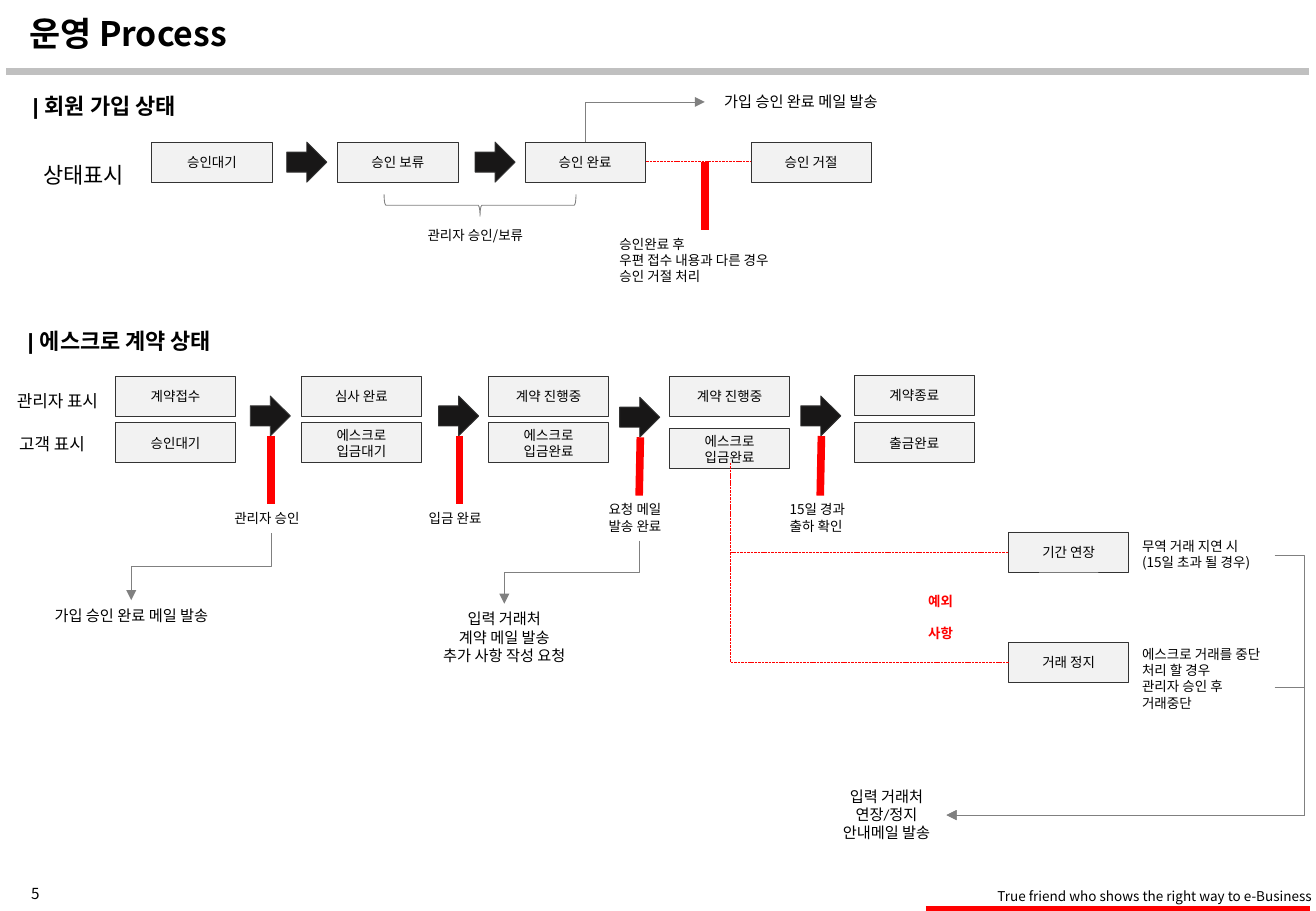
"""Build the operation process slide with its sign-up and escrow contract flows."""
from lxml.etree import SubElement
from pptx import Presentation
from pptx.dml.color import RGBColor
from pptx.enum.dml import MSO_LINE
from pptx.enum.shapes import MSO_CONNECTOR, MSO_SHAPE
from pptx.enum.text import MSO_ANCHOR, MSO_AUTO_SIZE, PP_ALIGN
from pptx.oxml.ns import qn
from pptx.util import Inches, Pt

BLACK = RGBColor(0x00, 0x00, 0x00)
RED = RGBColor(0xFF, 0x00, 0x00)
SILVER = RGBColor(0xC0, 0xC0, 0xC0)
GRAY = RGBColor(0x80, 0x80, 0x80)
BORDER = RGBColor(0x33, 0x33, 0x33)
BOX_FILL = RGBColor(0xF2, 0xF2, 0xF2)
ARROW_FILL = RGBColor(0x18, 0x17, 0x17)
KOREAN_FONT = "Noto Sans CJK KR"
BOX_FONT = "Calibri"
HEADING_FONT = "Arial"
BOX_WIDTH, BOX_HEIGHT, ARROW_SIZE = 0.99, 0.33, 0.33


class ProcessSlide:
    """Hold the slide and draw each kind of element in one style."""

    def __init__(self, presentation):
        self.slide = presentation.slides.add_slide(presentation.slide_layouts[5])
        self.shapes = self.slide.shapes

    def add_lines(self, frame, lines, size, font=KOREAN_FONT, color=BLACK, bold=False,
                  align=PP_ALIGN.LEFT, spacing=None):
        for index, line in enumerate(lines):
            paragraph = frame.paragraphs[0] if index == 0 else frame.add_paragraph()
            paragraph.alignment = align
            if spacing:
                paragraph.line_spacing = spacing
            run = paragraph.add_run()
            run.text = line
            run.font.size = Pt(size)
            run.font.bold = bold
            run.font.color.rgb = color
            run.font.name = font
            east_asian = SubElement(run.font._element, qn("a:ea"))
            east_asian.set("typeface", KOREAN_FONT)

    def title(self, text):
        shape = self.shapes.title
        shape.left, shape.top = Inches(0.14), Inches(0.06)
        shape.width, shape.height = Inches(10.56), Inches(0.46)
        frame = shape.text_frame
        frame.auto_size = MSO_AUTO_SIZE.NONE
        frame.vertical_anchor = MSO_ANCHOR.MIDDLE
        self.add_lines(frame, [text], 20, bold=True, spacing=0.9)

    def text(self, left, top, width, height, lines, size=8, wrap=False, **style):
        shape = self.shapes.add_textbox(
            Inches(left), Inches(top), Inches(width), Inches(height))
        frame = shape.text_frame
        frame.word_wrap = wrap
        frame.auto_size = MSO_AUTO_SIZE.SHAPE_TO_FIT_TEXT
        self.add_lines(frame, lines, size, **style)

    def heading(self, left, top, width, text):
        self.text(left, top, width, 0.32, [text], 13, font=HEADING_FONT, bold=True)

    def mail(self, left, top, width, height, *lines):
        self.text(left, top, width, height, lines, 9, font=BOX_FONT,
                  align=PP_ALIGN.CENTER)

    def preset(self, kind, left, top, width, height, fill=None, border=BORDER):
        shape = self.shapes.add_shape(
            kind, Inches(left), Inches(top), Inches(width), Inches(height))
        shape.shadow.inherit = False
        if fill is None:
            shape.fill.background()
        else:
            shape.fill.solid()
            shape.fill.fore_color.rgb = fill
        shape.line.color.rgb = border
        shape.line.width = Pt(0.5)
        return shape

    def box(self, left, top, *lines):
        shape = self.preset(MSO_SHAPE.RECTANGLE, left, top, BOX_WIDTH, BOX_HEIGHT, BOX_FILL)
        frame = shape.text_frame
        frame.margin_left = frame.margin_right = 0
        frame.vertical_anchor = MSO_ANCHOR.MIDDLE
        self.add_lines(frame, lines, 8, font=BOX_FONT, align=PP_ALIGN.CENTER)

    def arrow(self, left, top):
        self.preset(MSO_SHAPE.RIGHT_ARROW, left, top, ARROW_SIZE, ARROW_SIZE, ARROW_FILL)

    def brace(self, left, top, width, height):
        shape = self.preset(MSO_SHAPE.RIGHT_BRACE, left, top, width, height, border=GRAY)
        shape.rotation = 90

    def line(self, start, end, color=RED, width=4.5, kind=MSO_CONNECTOR.STRAIGHT):
        connector = self.shapes.add_connector(
            kind, *(Inches(value) for value in (*start, *end)))
        connector.line.color.rgb = color
        connector.line.width = Pt(width)
        SubElement(connector._element.spPr, qn("a:effectLst"))
        return connector

    def elbow(self, start, end, color=GRAY, corners=2, vertical=True, bend=None):
        (x1, y1), (x2, y2) = start, end
        if vertical:
            middle_x, middle_y = (x1 + x2) / 2, (y1 + y2) / 2
            half_x, half_y = (x2 - x1) / 2, (y2 - y1) / 2
            start = middle_x - half_y, middle_y + half_x
            end = middle_x + half_y, middle_y - half_x
        connector = self.line(start, end, color, 0.5, MSO_CONNECTOR.ELBOW)
        properties = connector._element.spPr
        geometry = properties.find(qn("a:prstGeom"))
        geometry.set("prst", f"bentConnector{corners + 1}")
        if vertical:
            properties.find(qn("a:xfrm")).set("rot", "5400000")
        if bend is not None:
            guide = SubElement(geometry.find(qn("a:avLst")), qn("a:gd"))
            guide.set("name", "adj1")
            guide.set("fmla", f"val {round(bend * 100000)}")
        if color == RED:
            connector.line.dash_style = MSO_LINE.SQUARE_DOT
        else:
            tail = SubElement(properties.find(qn("a:ln")), qn("a:tailEnd"))
            tail.set("type", "triangle")


def draw_frame(page):
    page.line((0.05, 0.59), (10.77, 0.59), SILVER)
    page.line((7.62, 7.48), (10.78, 7.48), RED, 3)
    page.text(8.11, 7.26, 2.88, 0.24, ["True friend who shows the right way to e-Business"])
    page.text(0, 7.23, 0.58, 0.25, ["5"], 9, wrap=True, align=PP_ALIGN.CENTER)
    page.title("운영 Process")


def draw_signup(page):
    page.heading(0.17, 0.71, 1.55, "| 회원 가입 상태")
    page.text(0.26, 1.17, 0.93, 0.39, ["상태표시"], 13, spacing=1.5)
    for left, label in ((1.25, "승인대기"), (2.78, "승인 보류"),
                        (4.32, "승인 완료"), (6.18, "승인 거절")):
        page.box(left, 1.17, label)
    for left in (2.36, 3.91):
        page.arrow(left, 1.17)
    page.brace(3.86, 0.9, 0.18, 1.58)
    page.text(3.42, 1.82, 1.07, 0.24, ["관리자 승인/보류"])
    page.mail(5.8, 0.71, 1.58, 0.25, "가입 승인 완료 메일 발송")
    page.elbow((4.82, 1.17), (5.8, 0.84), corners=1)
    page.elbow((5.32, 1.33), (6.18, 1.33), RED, vertical=False)
    page.text(5, 1.89, 1.6, 0.5, ["승인완료 후", "우편 접수 내용과 다른 경우", "승인 거절 처리"])
    page.line((5.8, 1.33), (5.8, 1.89))


def draw_contract(page):
    page.heading(0.13, 2.65, 1.9, "| 에스크로 계약 상태")
    page.text(0.04, 3.08, 0.95, 0.32, ["관리자 표시"], 10, spacing=1.5)
    page.text(0.06, 3.44, 0.81, 0.32, ["고객 표시"], 10, spacing=1.5)
    stages = (
        (0.95, 3.1, "계약접수", 3.48, ["승인대기"]),
        (2.48, 3.1, "심사 완료", 3.48, ["에스크로", "입금대기"]),
        (4.02, 3.1, "계약 진행중", 3.48, ["에스크로", "입금완료"]),
        (5.51, 3.1, "계약 진행중", 3.53, ["에스크로", "입금완료"]),
        (7.03, 3.09, "계약종료", 3.48, ["출금완료"]),
    )
    for left, manager_top, manager, customer_top, customer in stages:
        page.box(left, manager_top, manager)
        page.box(left, customer_top, *customer)
    steps = (
        (2.06, 3.26, 2.23, 2.23, 1.83, 4.15, 0.8, ["관리자 승인"]),
        (3.61, 3.26, 3.78, 3.78, 3.43, 4.15, 0.69, ["입금 완료"]),
        (5.1, 3.27, 5.27, 5.26, 4.91, 4.08, 0.69, ["요청 메일", "발송 완료"]),
        (6.59, 3.26, 6.76, 6.75, 6.4, 4.08, 0.7, ["15일 경과", "출하 확인"]),
    )
    for arrow_left, arrow_top, start_x, end_x, left, top, width, lines in steps:
        page.arrow(arrow_left, arrow_top)
        page.line((start_x, arrow_top + ARROW_SIZE), (end_x, top))
        page.text(left, top, width, 0.11 + 0.13 * len(lines), lines)
    page.mail(0.29, 4.94, 1.58, 0.25, "가입 승인 완료 메일 발송")
    page.elbow((2.23, 4.39), (1.08, 4.94))
    page.mail(3.5, 4.97, 1.3, 0.56, "입력 거래처", "계약 메일 발송", "추가 사항 작성 요청")
    page.elbow((5.26, 4.45), (4.15, 4.97))


def draw_exceptions(page):
    for top, label, middle, exit_y in ((4.38, "기간 연장", 4.55, 4.57),
                                       (5.29, "거래 정지", 5.45, 5.66)):
        page.box(8.3, top, label)
        page.elbow((6.01, 3.81), (8.3, middle), RED, corners=1)
        page.elbow((10.49, exit_y), (7.79, 6.71), vertical=False, bend=-0.09)
    page.text(7.54, 4.7, 0.43, 0.6, ["예외", "사항"], color=RED, bold=True, spacing=2.0)
    page.text(9.3, 4.38, 1.19, 0.37, ["무역 거래 지연 시", "(15일 초과 될 경우)"])
    page.text(9.3, 5.27, 1.19, 0.77,
              ["에스크로 거래를 중단", "처리 할 경우", "관리자 승인 후 거래중단"], wrap=True)
    page.mail(6.8, 6.43, 0.99, 0.56, "입력 거래처", "연장/정지", "안내메일 발송")


def main():
    presentation = Presentation()
    presentation.slide_width, presentation.slide_height = Inches(10.83), Inches(7.5)
    page = ProcessSlide(presentation)
    for draw in (draw_frame, draw_signup, draw_contract, draw_exceptions):
        draw(page)
    presentation.save("out.pptx")


if __name__ == "__main__":
    main()
